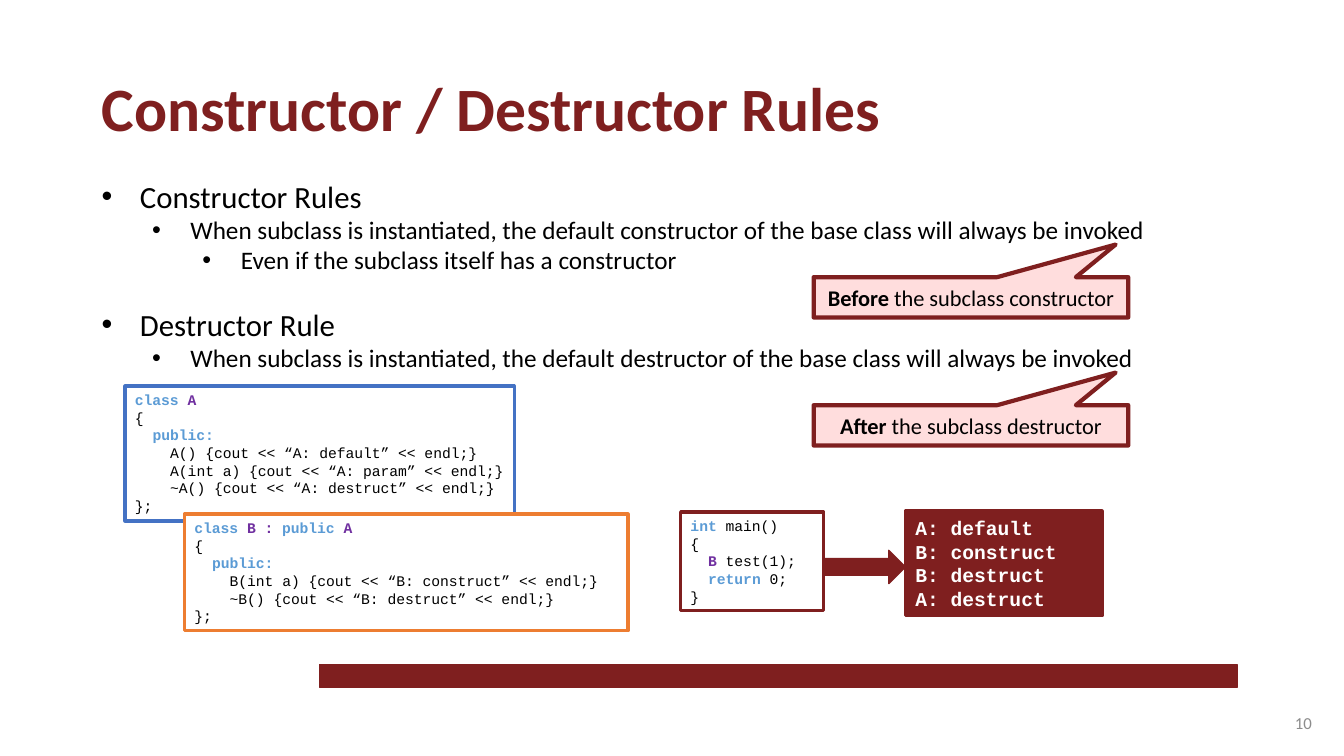
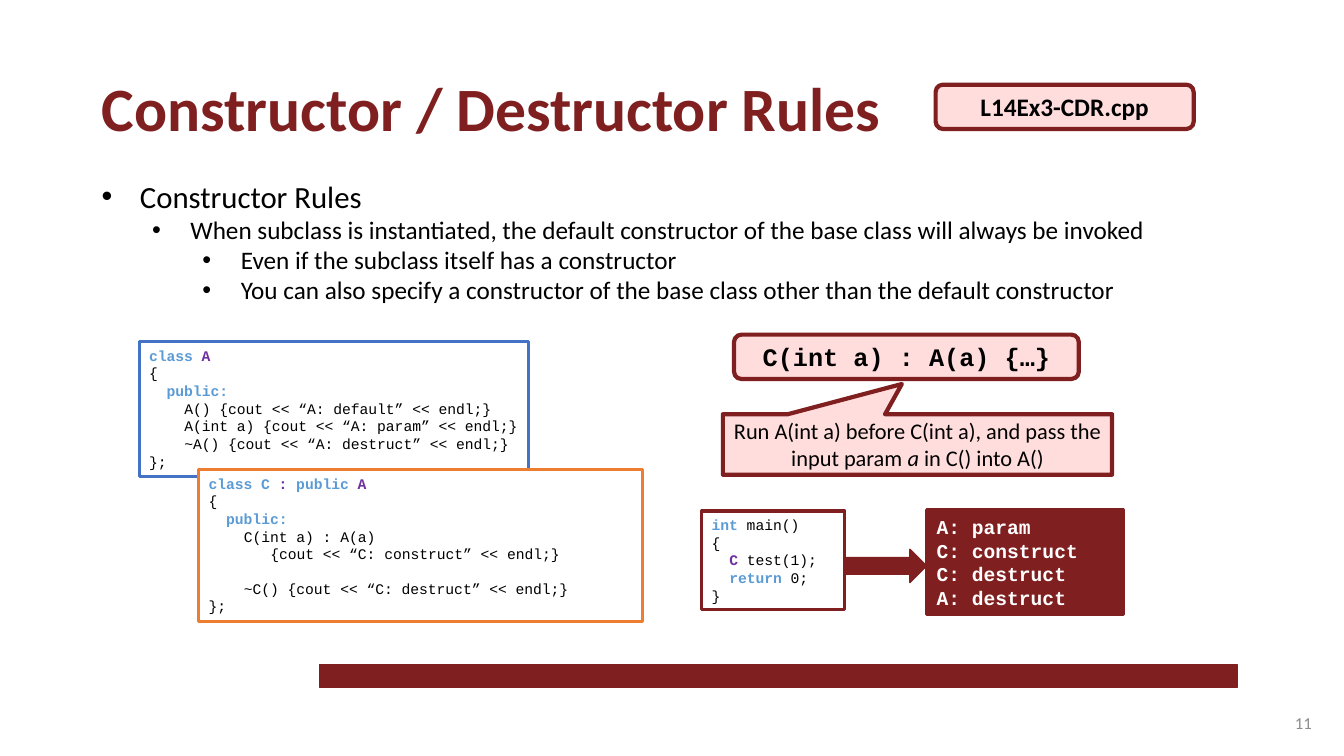
from dataclasses import dataclass

from lxml.etree import SubElement
from pptx import Presentation
from pptx.dml.color import RGBColor
from pptx.enum.shapes import MSO_SHAPE
from pptx.enum.text import MSO_ANCHOR, PP_ALIGN
from pptx.oxml.ns import qn
from pptx.util import Inches, Pt


@dataclass(frozen=True)
class Theme:
    dark: str = "7F1F1F"
    pale: str = "FFDDDD"
    blue: str = "4472C4"
    orange: str = "ED7D31"
    sky: str = "5B9BD5"
    purple: str = "7030A0"
    black: str = "000000"
    white: str = "FFFFFF"
    gray: str = "8C8C8C"
    sans: str = "Calibri"
    mono: str = "Courier New"
    title: float = 44
    head: float = 22
    item: float = 18
    note: float = 16
    out: float = 14
    page: float = 12
    code: float = 10.5


LOOK = Theme()
KEY = {"color": LOOK.sky, "bold": True}
NAME = {"color": LOOK.purple, "bold": True}
BOLD = {"bold": True}
CHAR = 0.6 * LOOK.code


def put(thing, values):
    for name, value in values.items():
        setattr(thing, name, value)


class Deck:
    def __init__(self):
        self.file = Presentation()
        put(self.file, {"slide_width": Inches(13.33), "slide_height": Inches(7.5)})
        self.slide = None

    def start(self, title, page):
        self.slide = self.file.slides.add_slide(self.file.slide_layouts[5])
        self.shape(MSO_SHAPE.RECTANGLE, (3.17, 6.59, 9.1, 0.23), LOOK.dark, LOOK.dark, 1)
        head = self.slide.shapes.title
        names = ("left", "top", "width", "height")
        put(head, dict(zip(names, map(Inches, (0.91, 0.64, 10.28, 0.84)))))
        self.fill(head, [[(title, BOLD)]], LOOK.title, color=LOOK.dark)
        self.text((10.11, 6.97, 3, 0.4), [[(page, {})]], LOOK.page, color=LOOK.gray,
                  align=PP_ALIGN.RIGHT, anchor=MSO_ANCHOR.MIDDLE)

    def fill(self, shape, lines, size, font=LOOK.sans, color=LOOK.black,
             align=PP_ALIGN.LEFT, anchor=MSO_ANCHOR.TOP):
        frame = shape.text_frame
        put(frame, {"word_wrap": True, "vertical_anchor": anchor})
        for index, runs in enumerate(lines):
            para = frame.add_paragraph() if index else frame.paragraphs[0]
            para.alignment = align
            for text, style in runs:
                self.letter(para, text, {"size": size, "name": font, "color": color, **style})
        return frame.paragraphs

    def letter(self, para, text, style):
        run = para.add_run()
        run.text = text
        style = dict(style)
        run.font.color.rgb = RGBColor.from_string(style.pop("color"))
        style["size"] = Pt(style["size"])
        put(run.font, {"bold": False, "italic": False, **style})

    def text(self, box, lines, size, **style):
        shape = self.slide.shapes.add_textbox(*map(Inches, box))
        return self.fill(shape, lines, size, **style)

    def shape(self, kind, box, fill, line, width):
        shape = self.slide.shapes.add_shape(kind, *map(Inches, box))
        shape.shadow.inherit = False
        shape.fill.solid()
        shape.fill.fore_color.rgb = RGBColor.from_string(fill)
        shape.line.color.rgb = RGBColor.from_string(line)
        shape.line.width = Pt(width)
        return shape

    def list(self, height, items):
        sizes = (LOOK.head, LOOK.item, LOOK.item)
        lines = [[(text, {"size": sizes[level]})] for level, text in items]
        paras = self.text((0.91, 1.71, 11.58, height), lines, LOOK.item)
        for index, (para, (level, _)) in enumerate(zip(paras, items)):
            para.level = level
            if index and level == 0:
                para.space_before = Pt(LOOK.head)
            props = para._p.get_or_add_pPr()
            props.set("marL", str(Inches(0.38 + 0.5 * level)))
            props.set("indent", str(Inches(-0.38)))
            SubElement(props, qn("a:buFont")).set("typeface", "Arial")
            SubElement(props, qn("a:buChar")).set("char", "•")

    def code(self, box, line, rows, gaps=()):
        shape = self.shape(MSO_SHAPE.RECTANGLE, box, LOOK.white, line, 2.25)
        paras = self.fill(shape, [runs for _, *runs in rows], LOOK.code, LOOK.mono)
        for index, (para, row) in enumerate(zip(paras, rows)):
            props = para._p.get_or_add_pPr()
            props.set("marL", str(Pt(CHAR * row[0])))
            props.set("indent", "0")
            if index in gaps:
                para.space_before = Pt(11.9)

    def pair(self, left, top, height, rows, gaps=()):
        self.code((left, top, 3.86, 1.34), LOOK.blue, BASE)
        self.code((left + 0.59, top + 1.27, 4.4, height), LOOK.orange, rows, gaps)

    def demo(self, left, top, name, lines):
        rows = [
            (0, ("int ", KEY), ("main()", {})),
            (0, ("{", {})),
            (2, (name + " ", NAME), ("test(1);", {})),
            (2, ("return ", KEY), ("0;", {})),
            (0, ("}", {})),
        ]
        self.code((left, top, 1.42, 0.98), LOOK.dark, rows)
        self.shape(MSO_SHAPE.RIGHT_ARROW, (left + 1.42, top + 0.38, 0.81, 0.33),
                   LOOK.dark, LOOK.dark, 1)
        shape = self.shape(MSO_SHAPE.RECTANGLE, (left + 2.23, top - 0.01, 1.95, 1.04),
                           LOOK.dark, LOOK.dark, 2.25)
        self.fill(shape, [[(line, BOLD)] for line in lines], LOOK.out, LOOK.mono, LOOK.white)

    def badge(self, kind, box, runs, size, font=LOOK.sans, tip=()):
        shape = self.shape(kind, box, LOOK.pale, LOOK.dark, 3)
        for index, value in enumerate(tip):
            shape.adjustments[index] = value
        self.fill(shape, [runs], size, font, align=PP_ALIGN.CENTER, anchor=MSO_ANCHOR.MIDDLE)

    def label(self, box, text, font=LOOK.sans):
        self.badge(MSO_SHAPE.ROUNDED_RECTANGLE, box, [(text, BOLD)], LOOK.item, font)

    def callout(self, box, runs, tip):
        self.badge(MSO_SHAPE.RECTANGULAR_CALLOUT, box, runs, LOOK.note, tip=tip)


TITLE = "Constructor / Destructor Rules"
RULES = [
    (0, "Constructor Rules"),
    (1, "When subclass is instantiated, the default constructor of the base class "
        "will always be invoked"),
    (2, "Even if the subclass itself has a constructor"),
]
BASE = [
    (0, ("class ", KEY), ("A", NAME)),
    (0, ("{", {})),
    (2, ("public:", KEY)),
    (4, ("A() {cout << “A: default” << endl;}", {})),
    (4, ("A(int a) {cout << “A: param” << endl;}", {})),
    (4, ("~A() {cout << “A: destruct” << endl;}", {})),
    (0, ("};", {})),
]


def order(deck):
    deck.start(TITLE, "10")
    deck.list(2.36, RULES + [
        (0, "Destructor Rule"),
        (1, "When subclass is instantiated, the default destructor of the base class "
            "will always be invoked"),
    ])
    deck.pair(1.24, 3.83, 1.16, [
        (0, ("class ", KEY), ("B : ", NAME), ("public", KEY), (" A", NAME)),
        *BASE[1:3],
        (4, ("B(int a) {cout << “B: construct” << endl;}", {})),
        (4, ("~B() {cout << “B: destruct” << endl;}", {})),
        BASE[-1],
    ])
    notes = [("Before", " the subclass constructor"), ("After", " the subclass destructor")]
    for index, (when, what) in enumerate(notes):
        deck.callout((8.07, 2.75 + 1.27 * index, 3.12, 0.4), [(when, BOLD), (what, {})],
                     (0.46, -1.31))
    deck.demo(6.75, 5.08, "B", ["A: default", "B: construct", "B: destruct", "A: destruct"])


def choice(deck):
    deck.start(TITLE, "11")
    deck.list(1.68, RULES + [
        (2, "You can also specify a constructor of the base class other than "
            "the default constructor"),
    ])
    deck.pair(1.38, 3.39, 1.51, [
        (0, ("class C", KEY), (" : ", NAME), ("public", KEY), (" A", NAME)),
        *BASE[1:3],
        (4, ("C(int a) : A(a)", {})),
        (7, ("{cout << “C: construct” << endl;}", {})),
        (4, ("~C() {cout << “C: destruct” << endl;}", {})),
        BASE[-1],
    ], gaps=(5,))
    deck.demo(6.96, 5.07, "C", ["A: param", "C: construct", "C: destruct", "A: destruct"])
    deck.label((7.28, 3.32, 3.42, 0.44), "C(int a) : A(a) {…}", LOOK.mono)
    deck.callout((7.17, 4.11, 3.86, 0.6), [
        ("Run A(int a) before C(int a), and pass the input param ", {}),
        ("a", {"italic": True}),
        (" in C() into A()", {}),
    ], (-0.04, -1))
    deck.label((9.28, 0.84, 2.56, 0.44), "L14Ex3-CDR.cpp")


def main():
    deck = Deck()
    order(deck)
    choice(deck)
    deck.file.save("out.pptx")


if __name__ == "__main__":
    main()
